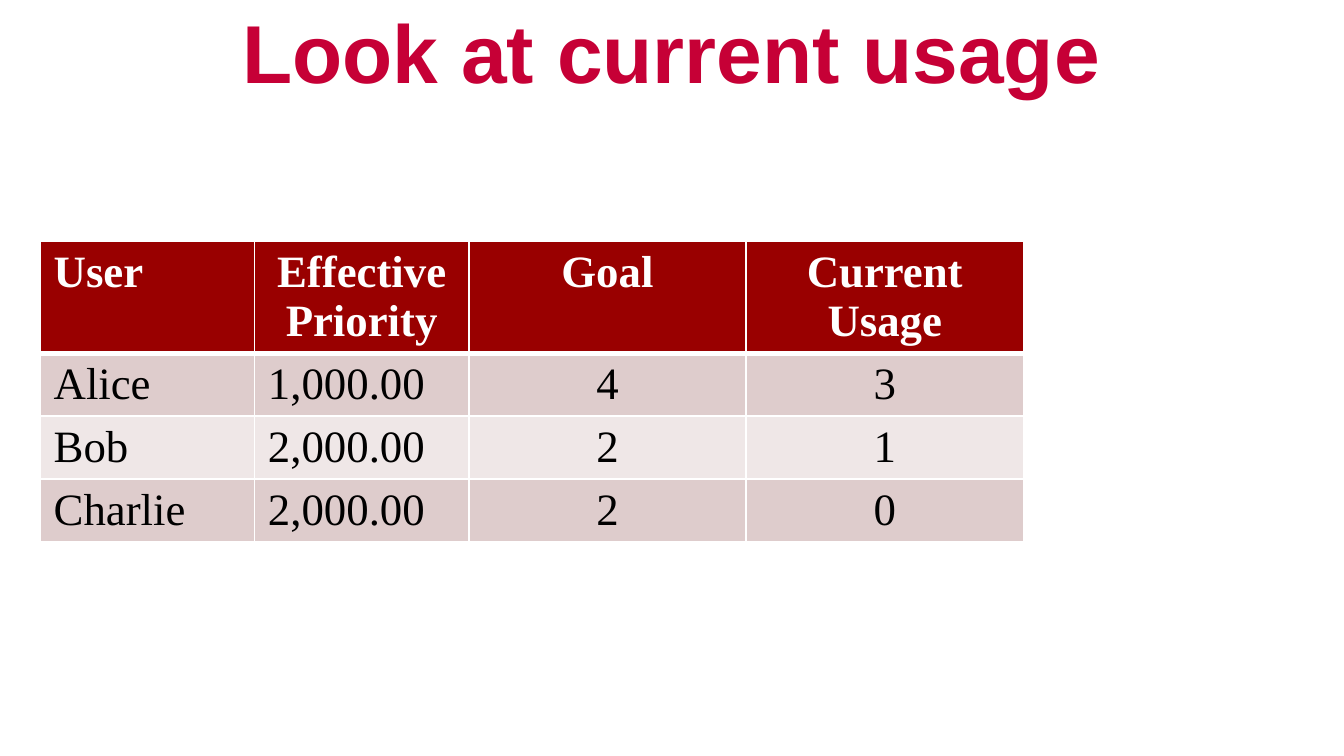
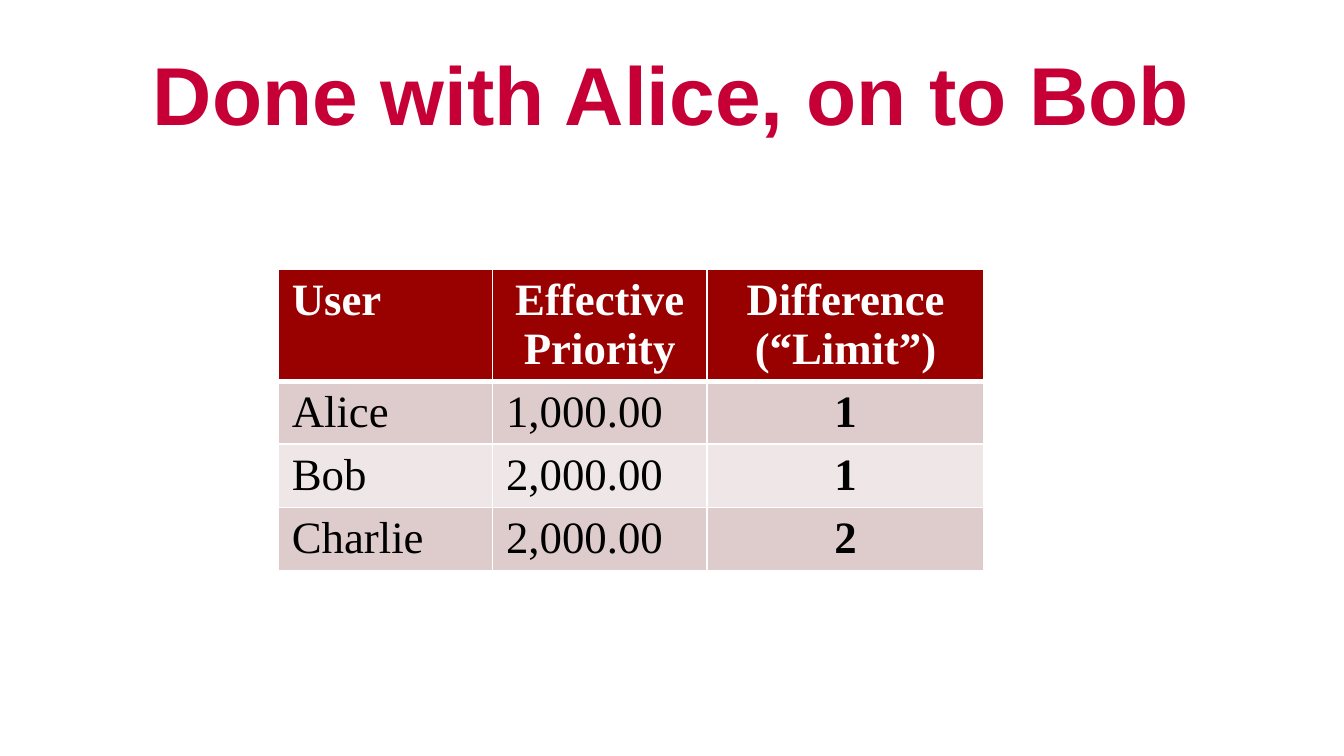
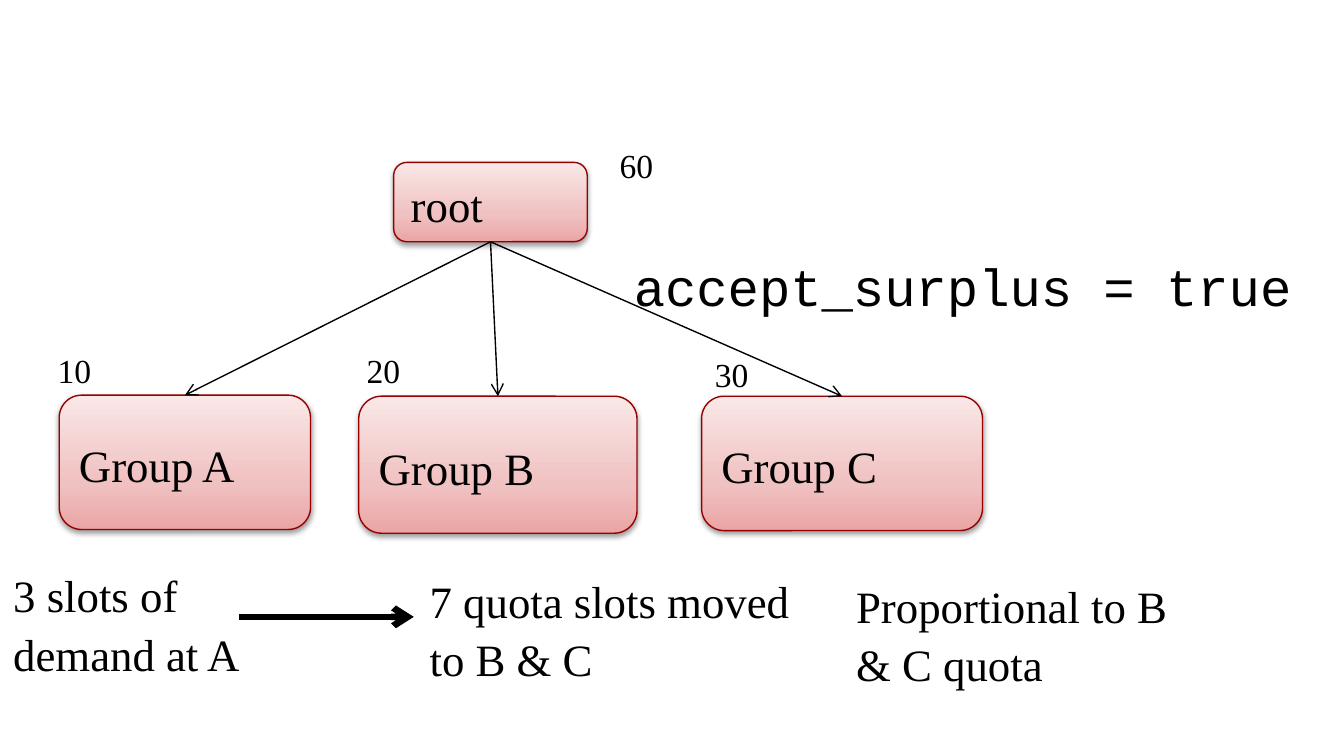
from lxml import etree
from pptx import Presentation
from pptx.dml.color import RGBColor
from pptx.enum import shapes, text
from pptx.oxml import ns
from pptx.util import Cm, Pt

SERIF, SANS, MONO = "Times New Roman", "Arial", "Courier New"
BLACK, WHITE = "000000", "FFFFFF"
TITLE_RED, HEADER_RED, OUTLINE_RED = "C60036", "990000", "960000"
ROW_FILLS = ("DECCCC", "EFE7E7")
BOX_GRADIENT = ((0, "EBA5A5"), (35, "F0C1C1"), (100, "FAE7E7"))

TITLE_LAYOUT, BLANK_LAYOUT = 5, 6
SLIDE_WIDTH, SLIDE_HEIGHT = 25.4, 14.29
TITLE_HEIGHT = 1.9
ROW_HEIGHT, TABLE_HEIGHT = 1.04, 6.1
DIAGRAM_SPACING = 1.09

LEFT, CENTER = text.PP_ALIGN.LEFT, text.PP_ALIGN.CENTER
NARROW, WIDE = 4.05, 5.24

# Columns: heading, width, heading alignment, body alignment, bold body
USER = ("User", NARROW, LEFT, LEFT, False)
PRIORITY = ("Effective\nPriority", NARROW, CENTER, LEFT, False)
GOAL = ("Goal", WIDE, CENTER, CENTER, False)
USAGE = ("Current\nUsage", WIDE, CENTER, CENTER, False)
LIMIT = ("Difference\n(“Limit”)", WIDE, CENTER, CENTER, True)

TABLE_SLIDES = [
    {
        "title": "Look at current usage", "title_top": 0,
        "left": 0.76, "top": 4.55,
        "columns": (USER, PRIORITY, GOAL, USAGE),
        "rows": [
            ("Alice", "1,000.00", "4", "3"),
            ("Bob", "2,000.00", "2", "1"),
            ("Charlie", "2,000.00", "2", "0"),
        ],
    },
    {
        "title": "Done with Alice, on to Bob", "title_top": 0.81,
        "left": 5.26, "top": 5.08,
        "columns": (USER, PRIORITY, LIMIT),
        "rows": [
            ("Alice", "1,000.00", "1"),
            ("Bob", "2,000.00", "1"),
            ("Charlie", "2,000.00", "2"),
        ],
    },
]

# Boxes: label, (left, top, width, height)
ROOT = ("root", (7.44, 3.07, 3.66, 1.5))
GROUPS = [
    ("Group A", (1.12, 7.47, 4.75, 2.54)),
    ("Group B", (6.78, 7.49, 5.26, 2.59)),
    ("Group C", (13.26, 7.49, 5.31, 2.54)),
]
QUOTAS = [("60", 11.46, 2.54), ("10", 0.84, 6.43), ("20", 6.68, 6.43), ("30", 13.26, 6.5)]
QUOTA_SIZE = (1.14, 1.02)
# Notes: wording, (left, top, width, height), font, size
NOTES = [
    ("accept_surplus = true", (11.73, 4.57, 13.67, 1.45), MONO, 28),
    ("3 slots of demand at A", (0, 10.52, 5.89, 2.31), SERIF, 24),
    ("7 quota slots moved to B & C", (7.87, 10.62, 7.75, 2.31), SERIF, 24),
    ("Proportional to B & C quota", (15.93, 10.72, 6.65, 2.31), SERIF, 24),
]
MOVE_ARROW = (4.52, 11.66, 7.82, 11.66)


def color(hex_value):
    return RGBColor.from_string(hex_value)


def lengths(values):
    return [Cm(value) for value in values]


def add_xml(parent, tag, **attributes):
    return etree.SubElement(parent, ns.qn(tag), attributes)


def write(frame, wording, font=SERIF, size=24, fill=BLACK, bold=False,
          align=LEFT, spacing=None):
    """Fill a text frame, one paragraph for each line of the wording."""
    for index, line in enumerate(wording.split("\n")):
        paragraph = frame.add_paragraph() if index else frame.paragraphs[0]
        paragraph.alignment = align
        if spacing:
            paragraph.line_spacing = spacing
        run = paragraph.add_run()
        run.text = line
        run.font.name, run.font.size, run.font.bold = font, Pt(size), bold
        run.font.color.rgb = color(fill)


def add_title(slide, wording, top):
    title = slide.shapes.title
    title.left, title.top, title.width, title.height = lengths(
        (0, top, SLIDE_WIDTH, TITLE_HEIGHT))
    title.text_frame.vertical_anchor = text.MSO_ANCHOR.MIDDLE
    write(title.text_frame, wording, font=SANS, size=44, fill=TITLE_RED,
          bold=True, align=CENTER)


def set_borders(cell, top, bottom):
    """Draw white borders; the side borders are 1 point wide."""
    properties = cell._tc.get_or_add_tcPr()
    for index, (side, width) in enumerate(
            (("L", 1), ("R", 1), ("T", top), ("B", bottom))):
        line = add_xml(properties, f"a:ln{side}", w=str(Pt(width)))
        add_xml(add_xml(line, "a:solidFill"), "a:srgbClr", val=WHITE)
        properties.insert(index, line)


def add_priority_table(slide, left, top, columns, rows):
    width = sum(column[1] for column in columns)
    frame = slide.shapes.add_table(
        len(rows) + 1, len(columns), *lengths((left, top, width, TABLE_HEIGHT)))
    table = frame.table
    for row in table.rows:
        row.height = Cm(ROW_HEIGHT)
    frame.height = Cm(TABLE_HEIGHT)

    for c, (heading, width, heading_align, body_align, bold) in enumerate(columns):
        table.columns[c].width = Cm(width)
        for r, wording in enumerate([heading] + [row[c] for row in rows]):
            cell = table.cell(r, c)
            is_header = r == 0
            cell.fill.solid()
            cell.fill.fore_color.rgb = color(
                HEADER_RED if is_header else ROW_FILLS[(r - 1) % 2])
            set_borders(cell, top=3 if r == 1 else 1, bottom=3 if is_header else 1)
            write(cell.text_frame, wording,
                  fill=WHITE if is_header else BLACK,
                  bold=is_header or bold,
                  align=heading_align if is_header else body_align)


def add_box(slide, label, place):
    """Add a rounded box with a gradient and a soft shadow below it."""
    box = slide.shapes.add_shape(
        shapes.MSO_SHAPE.ROUNDED_RECTANGLE, *lengths(place))
    box.line.color.rgb = color(OUTLINE_RED)
    box.line.width = Pt(0.75)
    box.fill.gradient()
    box.fill.gradient_angle = 90
    properties = box._element.spPr
    stops = properties.find(".//" + ns.qn("a:gsLst"))
    for stop in list(stops):
        stops.remove(stop)
    for position, hex_value in BOX_GRADIENT:
        stop = add_xml(stops, "a:gs", pos=str(position * 1000))
        add_xml(stop, "a:srgbClr", val=hex_value)

    box.shadow.inherit = False
    shadow = add_xml(properties.find(ns.qn("a:effectLst")), "a:outerShdw",
                     blurRad=str(Pt(3.1)), dist=str(Pt(1.6)), dir="5400000",
                     rotWithShape="0")
    add_xml(add_xml(shadow, "a:srgbClr", val=BLACK), "a:alpha", val="38000")

    box.text_frame.word_wrap = True
    box.text_frame.vertical_anchor = text.MSO_ANCHOR.MIDDLE
    write(box.text_frame, label, spacing=DIAGRAM_SPACING)
    return box


def add_arrow(slide, ends=(0, 0, 0, 0), width=0.75):
    arrow = slide.shapes.add_connector(
        shapes.MSO_CONNECTOR.STRAIGHT, *lengths(ends))
    arrow.line.color.rgb = color(BLACK)
    arrow.line.width = Pt(width)
    add_xml(arrow.line._get_or_add_ln(), "a:tailEnd", type="arrow")
    add_xml(arrow._element.spPr, "a:effectLst")
    return arrow


def add_label(slide, wording, place, wrap=True, **style):
    label = slide.shapes.add_textbox(*lengths(place))
    label.text_frame.word_wrap = wrap
    label.text_frame.auto_size = text.MSO_AUTO_SIZE.SHAPE_TO_FIT_TEXT
    write(label.text_frame, wording, spacing=DIAGRAM_SPACING, **style)


def add_group_tree(slide):
    bottom_site, top_site = 2, 0
    root = add_box(slide, *ROOT)
    for group in GROUPS:
        box = add_box(slide, *group)
        arrow = add_arrow(slide)
        arrow.begin_connect(root, bottom_site)
        arrow.end_connect(box, top_site)
    for quota, left, top in QUOTAS:
        add_label(slide, quota, (left, top, *QUOTA_SIZE), wrap=False, size=18)
    for wording, place, font, size in NOTES:
        add_label(slide, wording, place, font=font, size=size)
    add_arrow(slide, MOVE_ARROW, width=3.5)


def main():
    presentation = Presentation()
    presentation.slide_width = Cm(SLIDE_WIDTH)
    presentation.slide_height = Cm(SLIDE_HEIGHT)
    layouts = presentation.slide_layouts
    for content in TABLE_SLIDES:
        slide = presentation.slides.add_slide(layouts[TITLE_LAYOUT])
        add_title(slide, content["title"], content["title_top"])
        add_priority_table(slide, content["left"], content["top"],
                           content["columns"], content["rows"])
    add_group_tree(presentation.slides.add_slide(layouts[BLANK_LAYOUT]))
    presentation.save("out.pptx")


if __name__ == "__main__":
    main()
